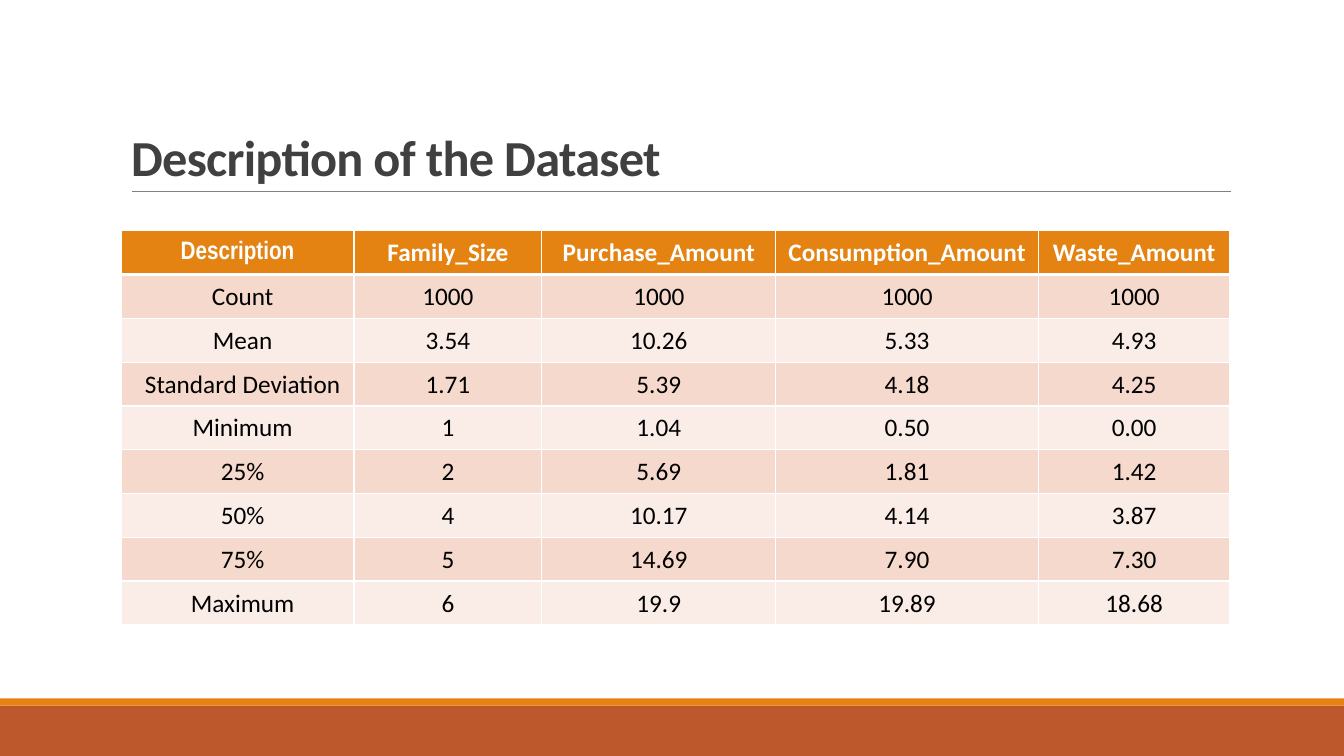
from lxml import etree
from pptx import Presentation
from pptx.dml.color import RGBColor
from pptx.enum.shapes import MSO_CONNECTOR, MSO_SHAPE
from pptx.enum.text import MSO_ANCHOR, MSO_AUTO_SIZE, PP_ALIGN
from pptx.oxml.ns import qn
from pptx.util import Inches, Pt

RECT, STRAIGHT = MSO_SHAPE.RECTANGLE, MSO_CONNECTOR.STRAIGHT
LEFT, CENTER = PP_ALIGN.LEFT, PP_ALIGN.CENTER
MIDDLE, BOTTOM = MSO_ANCHOR.MIDDLE, MSO_ANCHOR.BOTTOM

COLORS = {"rust": "BD582C", "orange": "E48312", "rule": "808080", "title": "404040",
          "white": "FFFFFF", "black": "000000", "band": "F5D9CC", "light": "FAEDE7"}
SLIDE_W, SLIDE_H = 13.33, 7.5
COL_WIDTHS = [2.31, 1.86, 2.32, 2.6, 1.9]
ROWS = [
    ["Description", "Family_Size", "Purchase_Amount", "Consumption_Amount", "Waste_Amount"],
    ["Count", "1000", "1000", "1000", "1000"],
    ["Mean", "3.54", "10.26", "5.33", "4.93"],
    ["Standard Deviation", "1.71", "5.39", "4.18", "4.25"],
    ["Minimum", "1", "1.04", "0.50", "0.00"],
    ["25%", "2", "5.69", "1.81", "1.42"],
    ["50%", "4", "10.17", "4.14", "3.87"],
    ["75%", "5", "14.69", "7.90", "7.30"],
    ["Maximum", "6", "19.9", "19.89", "18.68"],
]


def rgb(name):
    return RGBColor.from_string(COLORS[name])


def set_attrs(obj, values):
    for name, value in values.items():
        setattr(obj, name, value)


def format_run(r, color, **values):
    set_attrs(r.font, values)
    r.font.color.rgb = rgb(color)


def add_footer_bands(s, x, y, w, h, stripe=0.07):
    """Rust band with a thin orange stripe above it."""
    for top, height, color in [(y + stripe, h - stripe, "rust"), (y, stripe, "orange")]:
        sp = s.shapes.add_shape(RECT, Inches(x), Inches(top), Inches(w), Inches(height))
        sp.shadow.inherit = False
        sp.fill.solid()
        sp.fill.fore_color.rgb = rgb(color)
        sp.line.fill.background()


def add_title(s, text, x, y, w, h):
    """Bottom-anchored title and the rule under it."""
    sp = s.shapes.title
    set_attrs(sp, {"left": Inches(x), "top": Inches(y), "width": Inches(w), "height": Inches(h)})
    tf = sp.text_frame
    set_attrs(tf, {"word_wrap": True, "auto_size": MSO_AUTO_SIZE.NONE, "vertical_anchor": BOTTOM})
    p = tf.paragraphs[0]
    set_attrs(p, {"alignment": LEFT, "line_spacing": 0.85})
    r = p.add_run()
    r.text = text
    format_run(r, "title", name="Calibri", size=Pt(36), bold=True)
    r.font._element.set("spc", "-50")

    rule = s.shapes.add_connector(STRAIGHT, Inches(x + 0.11), Inches(y + h),
                                  Inches(x + w + 0.01), Inches(y + h))
    rule.line.color.rgb = rgb("rule")
    rule.line.width = Pt(0.5)
    etree.SubElement(rule._element.spPr, qn("a:effectLst"))


def add_borders(cell, top, bottom):
    tc_pr = cell._tc.get_or_add_tcPr()
    for side, width in [("L", 1), ("R", 1), ("T", top), ("B", bottom)]:
        ln = etree.SubElement(tc_pr, qn(f"a:ln{side}"), w=str(Pt(width)))
        fill = etree.SubElement(ln, qn("a:solidFill"))
        etree.SubElement(fill, qn("a:srgbClr"), val=COLORS["white"])


def fill_cell(cell, text, row, col):
    header = row == 0
    set_attrs(cell, {"margin_left": Inches(0.01), "margin_right": Inches(0.01),
                     "margin_top": Inches(0.01), "margin_bottom": 0,
                     "vertical_anchor": MIDDLE})
    # Borders come before the fill in the cell properties
    add_borders(cell, 3 if row == 1 else 1, 3 if header else 1)
    cell.fill.solid()
    cell.fill.fore_color.rgb = rgb("orange" if header else "band" if row % 2 else "light")

    p = cell.text_frame.paragraphs[0]
    p.alignment = CENTER
    if col == 0 and not header:
        p._p.get_or_add_pPr().set("marL", str(Inches(0.1)))
    r = p.add_run()
    r.text = text
    format_run(r, "white" if header else "black", size=Pt(18), bold=header,
               name="Arial Narrow" if header and col == 0 else "Calibri")


def add_statistics_table(s, x, y, w, h):
    table = s.shapes.add_table(len(ROWS), len(COL_WIDTHS), Inches(x), Inches(y),
                               Inches(w), Inches(h)).table
    table.horz_banding = False
    for column, width in zip(table.columns, COL_WIDTHS):
        column.width = Inches(width * w / sum(COL_WIDTHS))
    for i, values in enumerate(ROWS):
        table.rows[i].height = Inches(h / len(ROWS))
        for j, text in enumerate(values):
            fill_cell(table.cell(i, j), text, i, j)


def main():
    prs = Presentation()
    prs.slide_width, prs.slide_height = Inches(SLIDE_W), Inches(SLIDE_H)
    s = prs.slides.add_slide(prs.slide_layouts[5])
    add_footer_bands(s, 0, 6.93, SLIDE_W, 0.57)
    add_title(s, "Description of the Dataset", 1.2, 0.31, 11, 1.59)
    add_statistics_table(s, 1.2, 2.29, 11, 3.91)
    prs.save("out.pptx")


if __name__ == "__main__":
    main()
